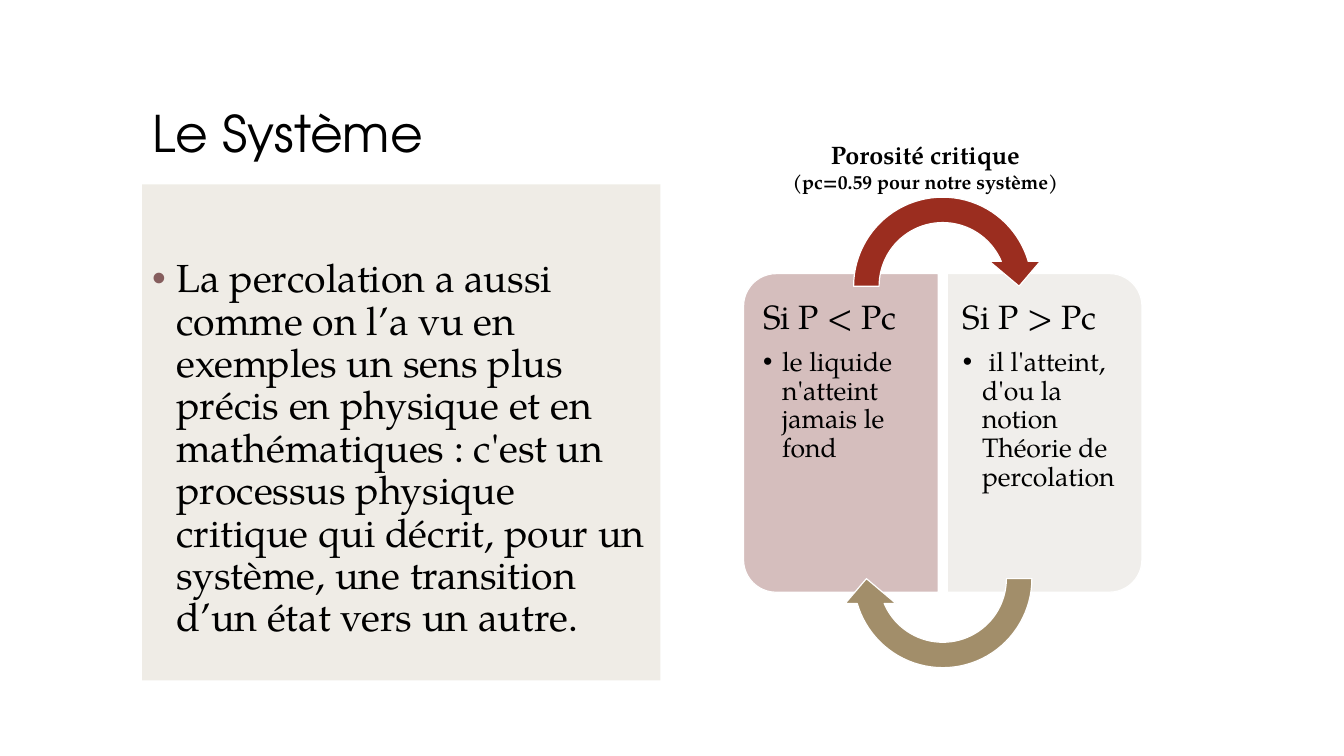
from pptx import Presentation
from pptx.dml.color import RGBColor as Color
from pptx.enum.shapes import MSO_SHAPE as Kind
from pptx.enum.text import MSO_ANCHOR as Anchor, MSO_AUTO_SIZE as Fit, PP_ALIGN as Align
from pptx.oxml.ns import qn
from pptx.util import Inches, Pt
from lxml.etree import SubElement as sub

BLACK = Color(0x00, 0x00, 0x00)
WHITE = Color(0xFF, 0xFF, 0xFF)
CREAM = Color(0xE9, 0xE5, 0xDC)
PINK = Color(0xD5, 0xBE, 0xBD)
PALE = Color(0xF0, 0xEE, 0xEB)
RED = Color(0x9B, 0x2D, 0x1F)
TAN = Color(0xA2, 0x8E, 0x6A)
MAUVE = Color(0x85, 0x5D, 0x5D)

HEAD = "TeX Gyre Adventor"
BODY = "TeX Gyre Pagella"
WIDE, HIGH = 13.33, 7.5


def write(frame, text, size, font=BODY, bold=False, align=Align.LEFT,
          line=0.9, after=0, hang=None, dot=BLACK):
    """Add one paragraph; hang holds the margin and indent of a bullet."""
    first = frame.paragraphs[0]
    par = frame.add_paragraph() if first.runs else first
    par.alignment, par.line_spacing = align, line
    par.space_before, par.space_after = Pt(0), Pt(after)
    if hang:
        props = par._p.get_or_add_pPr()
        props.set("marL", str(Inches(hang[0])))
        props.set("indent", str(Inches(hang[1])))
        tint = sub(props, qn("a:buClr"))
        sub(tint, qn("a:srgbClr"), val=str(dot))
        sub(props, qn("a:buFont"), typeface="Arial")
        sub(props, qn("a:buChar"), char="•")
    run = par.add_run()
    run.text = text
    run.font.name, run.font.size = font, Pt(size)
    run.font.bold, run.font.color.rgb = bold, BLACK


class Deck:
    """One slide; places are percent shares of its width and height."""

    def __init__(self):
        self.show = Presentation()
        self.show.slide_width, self.show.slide_height = Inches(WIDE), Inches(HIGH)
        self.slide = self.show.slides.add_slide(self.show.slide_layouts[5])

    def place(self, left, top, width, height):
        return [Inches(WIDE * left / 100), Inches(HIGH * top / 100),
                Inches(WIDE * width / 100), Inches(HIGH * height / 100)]

    def setup(self, frame, pads, anchor, wrap=True):
        frame.word_wrap, frame.auto_size = wrap, Fit.NONE
        frame.vertical_anchor = anchor
        (frame.margin_left, frame.margin_top,
         frame.margin_right, frame.margin_bottom) = map(Inches, pads)
        return frame

    def title(self, text, *area):
        box = self.slide.shapes.title
        box.left, box.top, box.width, box.height = self.place(*area)
        frame = self.setup(box.text_frame, (0.1, 0.05, 0.1, 0.05), Anchor.BOTTOM)
        write(frame, text, 36, font=HEAD)

    def text(self, *area, pads=(0.1, 0.05, 0.1, 0.05), anchor=Anchor.TOP, wrap=True):
        box = self.slide.shapes.add_textbox(*self.place(*area))
        return self.setup(box.text_frame, pads, anchor, wrap)

    def shape(self, kind, fill, *area, turn=0, adjust=(), edge=True, alpha=None):
        item = self.slide.shapes.add_shape(kind, *self.place(*area))
        item.shadow.inherit = False
        item.rotation = turn
        for i, value in enumerate(adjust):
            item.adjustments[i] = value
        item.fill.solid()
        item.fill.fore_color.rgb = fill
        if alpha:
            tint = item.fill._xPr.find(".//" + qn("a:srgbClr"))
            sub(tint, qn("a:alpha"), val=str(alpha * 1000))
        if edge:
            item.line.color.rgb, item.line.width = WHITE, Pt(0.85)
        else:
            item.line.fill.background()
        return item


def main():
    deck = Deck()
    deck.title("Le Système", 10.58, 5.6, 78.77, 16.67)

    # Definition on a tinted panel
    panel = deck.shape(Kind.RECTANGLE, CREAM, 10.58, 24.4, 38.56, 65.6,
                       edge=False, alpha=70)
    frame = deck.setup(panel.text_frame, (0.1, 0.74, 0.1, 0.05), Anchor.TOP)
    write(frame, "La percolation a aussi comme on l’a vu en exemples un sens plus "
          "précis en physique et en mathématiques : c'est un processus physique "
          "critique qui décrit, pour un système, une transition d’un état vers "
          "un autre.", 28, hang=(0.24, -0.25), dot=MAUVE)

    # Two cases, side by side
    cases = [
        (PINK, 270, 50.71, 56.04, (0.1, 0.17, 0.15, 0.17),
         "Si P < Pc", "le liquide n'atteint jamais le fond"),
        (PALE, 90, 65.87, 70.52, (0.15, 0.17, 0.1, 0.17),
         "Si P > Pc", " il l'atteint, d'ou la notion Théorie de percolation"),
    ]
    for fill, turn, left, start, pads, head, note in cases:
        deck.shape(Kind.ROUND_2_SAME_RECTANGLE, fill, left, 44.4, 23.71, 25.73,
                   turn=turn, adjust=(0.167, 0))
        frame = deck.text(start, 37.47, 13.8, 39.6, pads=pads)
        write(frame, head, 24, after=8.4)
        write(frame, note, 19, after=2.85, hang=(0.19, -0.19))

    # Arrows between the cases
    for fill, top, turn in [(RED, 24.4, 0), (TAN, 63.07, 180)]:
        deck.shape(Kind.CIRCULAR_ARROW, fill, 62.57, top, 15.15, 26.93, turn=turn,
                   adjust=(0.125, 11.42, 204.58, 108, 0.125))

    # Threshold label
    frame = deck.text(58.21, 17.73, 21.3, 8.53, anchor=Anchor.MIDDLE, wrap=False)
    for text, size in [("Porosité critique", 18), ("(pc=0.59 pour notre système)", 14)]:
        write(frame, text, size, bold=True, align=Align.CENTER, line=1)

    deck.show.save("out.pptx")


if __name__ == "__main__":
    main()
